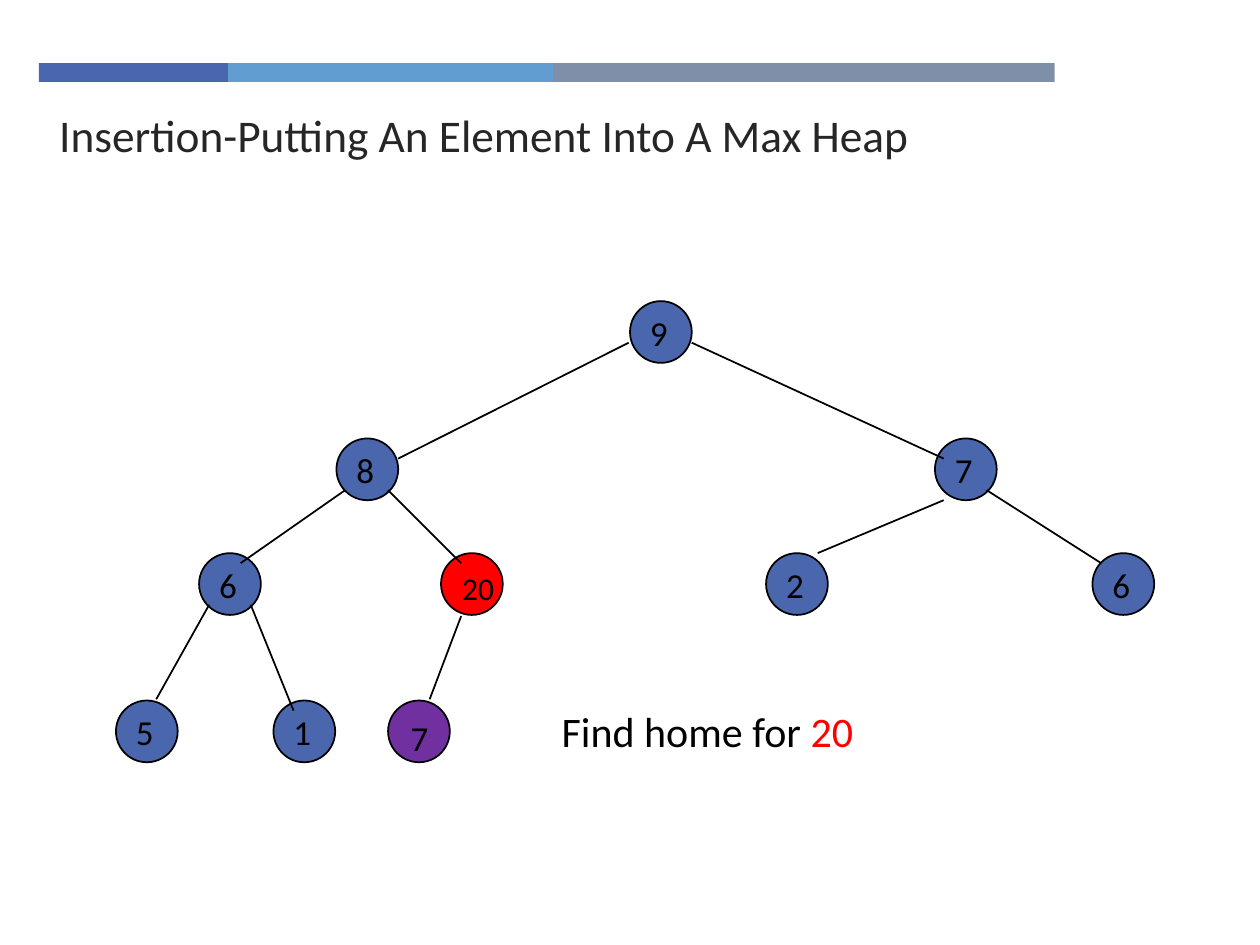
from lxml import etree
from pptx import Presentation
from pptx.dml.color import RGBColor
from pptx.enum.shapes import MSO_CONNECTOR, MSO_SHAPE
from pptx.enum.text import MSO_ANCHOR, MSO_AUTO_SIZE, PP_ALIGN
from pptx.oxml.ns import qn
from pptx.util import Inches, Pt

RECTANGLE, OVAL = MSO_SHAPE.RECTANGLE, MSO_SHAPE.OVAL
STRAIGHT = MSO_CONNECTOR.STRAIGHT
MIDDLE, LEFT = MSO_ANCHOR.MIDDLE, PP_ALIGN.LEFT
NO_AUTOFIT = MSO_AUTO_SIZE.NONE

FONT = "Calibri"
BLACK, BLUE, RED, PURPLE = "000000", "4A66AC", "FF0000", "7030A0"
NODE_SIZE = 0.49


def color(value):
    return RGBColor.from_string(value)


def add_text(frame, spans, size, wrap):
    frame.word_wrap = wrap
    frame.auto_size = NO_AUTOFIT
    para = frame.paragraphs[0]
    para.alignment = LEFT
    for text, value in spans:
        span = para.add_run()
        span.text = text
        span.font.name = FONT
        span.font.size = Pt(size)
        span.font.color.rgb = color(value)


deck = Presentation()
deck.slide_width, deck.slide_height = Inches(10), Inches(7.5)
page = deck.slides.add_slide(deck.slide_layouts[5])

bar_left = 0.31
for width, fill in [(1.5, BLUE), (2.58, "629DD1"), (3.98, "7F8FA9")]:
    bar = page.shapes.add_shape(
        RECTANGLE, Inches(bar_left), Inches(0.5), Inches(width), Inches(0.15))
    bar.shadow.inherit = False
    bar.fill.solid()
    bar.fill.fore_color.rgb = color(fill)
    bar.line.fill.background()
    bar_left += width

title = page.shapes.title
title.left, title.top = Inches(0.37), Inches(0.8)
title.width, title.height = Inches(7.16), Inches(0.54)
title.text_frame.vertical_anchor = MIDDLE
add_text(title.text_frame,
         [("Insertion-Putting An Element Into A Max Heap", "262626")], 25.9, True)

root_top, second_top, third_top, leaf_top = 2.39, 3.48, 4.39, 5.56
nodes = [
    ("9", 5, root_top, BLUE),
    ("8", 2.67, second_top, BLUE),
    ("7", 7.42, second_top, BLUE),
    ("6", 1.58, third_top, BLUE),
    ("20", 3.5, third_top, RED),
    ("2", 6.08, third_top, BLUE),
    ("6", 8.67, third_top, BLUE),
    ("5", 0.92, leaf_top, BLUE),
    ("1", 2.17, leaf_top, BLUE),
    ("7", 3.08, leaf_top, PURPLE),
]
for value, left, top, fill in nodes:
    node = page.shapes.add_shape(
        OVAL, Inches(left), Inches(top), Inches(NODE_SIZE), Inches(NODE_SIZE))
    node.shadow.inherit = False
    node.fill.solid()
    node.fill.fore_color.rgb = color(fill)
    node.line.color.rgb = color(BLACK)
    node.line.width = Pt(1)

edges = [
    (4.99, 2.72, 3.16, 3.64),
    (5.49, 2.72, 7.49, 3.64),
    (2.74, 3.89, 1.91, 4.47),
    (3.08, 3.89, 3.66, 4.47),
    (7.49, 3.97, 6.49, 4.39),
    (7.83, 3.89, 8.74, 4.47),
    (1.66, 4.8, 1.24, 5.55),
    (1.99, 4.8, 2.33, 5.64),
    (3.66, 4.89, 3.41, 5.55),
]
for ends in edges:
    edge = page.shapes.add_connector(STRAIGHT, *[Inches(end) for end in ends])
    edge.line.color.rgb = color(BLACK)
    edge.line.width = Pt(1)
    etree.SubElement(edge._element.spPr, qn("a:effectLst"))

label_styles = {
    BLUE: (0.06, 0.03, 0.34, 0.43, 20),
    RED: (0.07, 0.08, 0.51, 0.4, 18),
    PURPLE: (0.08, 0.08, 0.25, 0.43, 20),
}
for value, left, top, fill in nodes:
    shift_x, shift_y, width, height, size = label_styles[fill]
    label = page.shapes.add_textbox(
        Inches(left + shift_x), Inches(top + shift_y), Inches(width), Inches(height))
    add_text(label.text_frame, [(value, BLACK)], size, False)

caption = page.shapes.add_textbox(Inches(4.36), Inches(5.55), Inches(3.3), Inches(0.5))
add_text(caption.text_frame, [("Find home for ", BLACK), ("20", RED)], 24, True)

deck.save("out.pptx")
